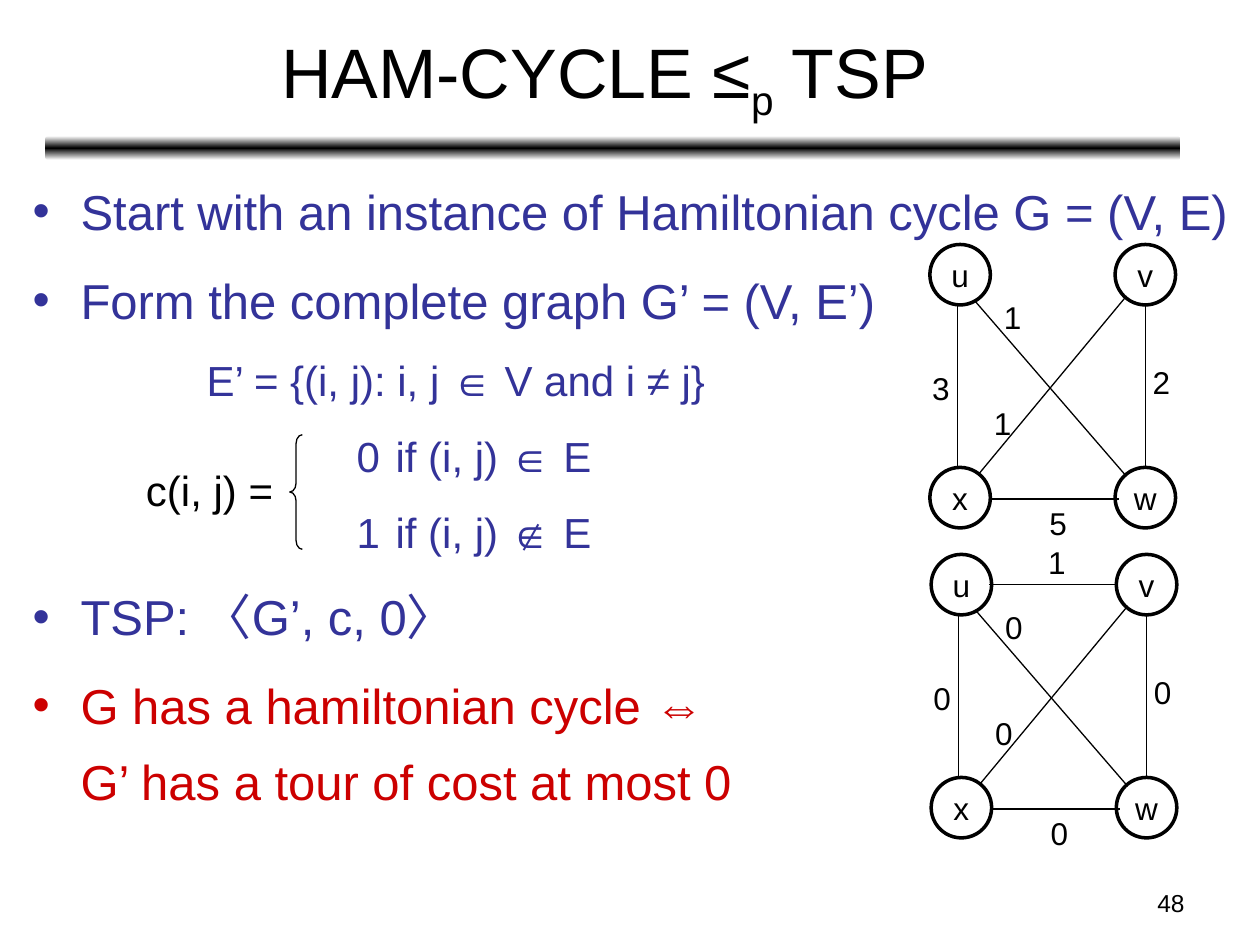
"""Build the slide that reduces HAM-CYCLE to TSP."""
from copy import deepcopy

from lxml.etree import SubElement
from pptx import Presentation
from pptx.dml.color import RGBColor
from pptx.enum.shapes import MSO_CONNECTOR as Connector, MSO_SHAPE as Shape
from pptx.enum.text import MSO_ANCHOR as Anchor, MSO_AUTO_SIZE as AutoSize, PP_ALIGN as Align
from pptx.oxml.ns import qn
from pptx.util import Inches, Pt

COLORS = {"ink": "000000", "paper": "FFFFFF", "body": "333399", "claim": "CC0000"}
HANGING = (0.38, -0.38)
FORMULA = (1.38, 0)
CASE = (0.38, 2.19)
BODY = [
    ("Start with an instance of Hamiltonian cycle G = (V, E)", 28, "body", HANGING),
    ("Form the complete graph G’ = (V, E’)", 28, "body", HANGING),
    ("E’ = {(i, j): i, j ∈ V and i ≠ j}", 24, "body", FORMULA),
    ("0\tif (i, j) ∈ E", 24, "body", CASE),
    ("1\tif (i, j) ∉ E", 24, "body", CASE),
    ("TSP: 〈G’, c, 0〉", 28, "body", HANGING),
    ("G has a hamiltonian cycle ⇔\vG’ has a tour of cost at most 0", 28, "claim", HANGING),
]
NODES = {"u": (0, 0), "v": (1.47, 0), "x": (0, 1.77), "w": (1.47, 1.77)}
EDGES = {
    "uv": ((0.46, 0.24, 1.48, 0.24), (0.83, -0.14)),
    "xw": ((0.47, 2.02, 1.5, 2.02), (0.85, 2.01)),
    "ux": ((0.22, 0.47, 0.22, 1.77), (-0.08, 0.94)),
    "vw": ((1.71, 0.47, 1.71, 1.77), (1.67, 0.89)),
    "uw": ((0.35, 0.44, 1.56, 1.84), (0.49, 0.38)),
    "vx": ((1.56, 0.41, 0.39, 1.82), (0.41, 1.22)),
}
GRAPHS = [
    (7.38, 1.94, {"xw": 5, "ux": 3, "vw": 2, "uw": 1, "vx": 1}),
    (7.39, 4.4, {"uv": 1, "xw": 0, "ux": 0, "vw": 0, "uw": 0, "vx": 0}),
]


class SlideBuilder:
    """Hold the style and the current slide."""

    font_name = "Arial"

    def __init__(self, slide):
        self.slide = slide

    def color(self, name):
        return RGBColor.from_string(COLORS[name])

    def style(self, paragraph, size, color="ink", align=Align.LEFT):
        paragraph.alignment = align
        paragraph.font.name = self.font_name
        paragraph.font.size = Pt(size)
        paragraph.font.color.rgb = self.color(color)

    def place(self, shape, *box):
        shape.left, shape.top, shape.width, shape.height = map(Inches, box)

    def title(self, box, parts):
        shape = self.slide.shapes.title
        self.place(shape, *box)
        shape.text_frame.vertical_anchor = Anchor.MIDDLE
        shape.text_frame.auto_size = AutoSize.NONE
        paragraph = shape.text_frame.paragraphs[0]
        for text, baseline in parts:
            run = paragraph.add_run()
            run.text = text
            if baseline:
                run.font._element.set("baseline", str(baseline * 1000))
        self.style(paragraph, 40, align=Align.CENTER)

    def body(self, box, lines):
        shape = self.slide.placeholders[1]
        self.place(shape, *box)
        frame = shape.text_frame
        frame.auto_size = AutoSize.NONE
        for index, (text, size, color, (margin, indent)) in enumerate(lines):
            paragraph = frame.add_paragraph() if index else frame.paragraphs[0]
            paragraph.text = text
            paragraph.line_spacing = 1.3
            paragraph.space_before = Pt(size / 4)
            properties = paragraph._p.get_or_add_pPr()
            properties.set("marL", str(Inches(margin)))
            properties.set("indent", str(Inches(indent)))
            if indent >= 0:
                SubElement(properties, qn("a:buNone"))
            if "\t" in text:
                tabs = SubElement(properties, qn("a:tabLst"))
                SubElement(tabs, qn("a:tab"), pos=str(Inches(3)), algn="l")
            self.style(paragraph, size, color)

    def text(self, box, text, size=18, align=Align.LEFT, wrap=False):
        shape = self.slide.shapes.add_textbox(*map(Inches, box))
        shape.text_frame.word_wrap = wrap
        shape.text_frame.text = text
        self.style(shape.text_frame.paragraphs[0], size, align=align)

    def shape(self, kind, box, line_width=None):
        shape = self.slide.shapes.add_shape(kind, *map(Inches, box))
        shape.shadow.inherit = False
        if line_width:
            shape.line.color.rgb = self.color("ink")
            shape.line.width = Pt(line_width)
        else:
            shape.line.fill.background()
        return shape

    def rule(self, box):
        fill = self.shape(Shape.ROUNDED_RECTANGLE, box).fill
        fill.gradient()
        fill.gradient_angle = 90
        first = fill.gradient_stops[0]._gs
        first.addnext(deepcopy(first))
        for stop, position, name in zip(fill.gradient_stops, (0, 0.5, 1), ("paper", "ink", "paper")):
            stop.position = position
            stop.color.rgb = self.color(name)

    def brace(self, box):
        shape = self.shape(Shape.LEFT_BRACE, box, 0.75)
        shape.fill.background()
        shape.adjustments[0] = 0.7

    def node(self, left, top, name):
        shape = self.shape(Shape.OVAL, (left, top, 0.48, 0.48), 2)
        shape.fill.solid()
        shape.fill.fore_color.rgb = self.color("paper")
        frame = shape.text_frame
        frame.word_wrap = False
        frame.vertical_anchor = Anchor.MIDDLE
        frame.text = name
        self.style(frame.paragraphs[0], 18, align=Align.CENTER)

    def line(self, *ends):
        line = self.slide.shapes.add_connector(Connector.STRAIGHT, *map(Inches, ends))
        line.line.color.rgb = self.color("ink")
        line.line.width = Pt(0.75)
        SubElement(line._element.spPr, qn("a:effectLst"))

    def graph(self, left, top, weights):
        for name, (x, y) in NODES.items():
            self.node(left + x, top + y, name)
        for edge, weight in weights.items():
            (x1, y1, x2, y2), (label_x, label_y) = EDGES[edge]
            self.line(left + x1, top + y1, left + x2, top + y2)
            self.text((left + label_x, top + label_y, 0.34, 0.4), str(weight))


def main():
    presentation = Presentation()
    presentation.slide_width, presentation.slide_height = Inches(10), Inches(7.5)
    builder = SlideBuilder(presentation.slides.add_slide(presentation.slide_layouts[1]))
    builder.rule((0.36, 1.08, 9.01, 0.19))
    builder.title((0.37, 0.11, 9, 0.99), [("HAM-CYCLE ≤", 0), ("p", -25), (" TSP ", 0)])
    builder.body((0.16, 1.25, 9.84, 5.92), BODY)
    for graph in GRAPHS:
        builder.graph(*graph)
    builder.brace((2.3, 3.45, 0.1, 0.91))
    builder.text((1.06, 3.64, 1.21, 0.5), "c(i, j) =", 24)
    builder.text((7.17, 7, 2.33, 0.35), "48", 14, Align.RIGHT, wrap=True)
    presentation.save("out.pptx")


if __name__ == "__main__":
    main()
